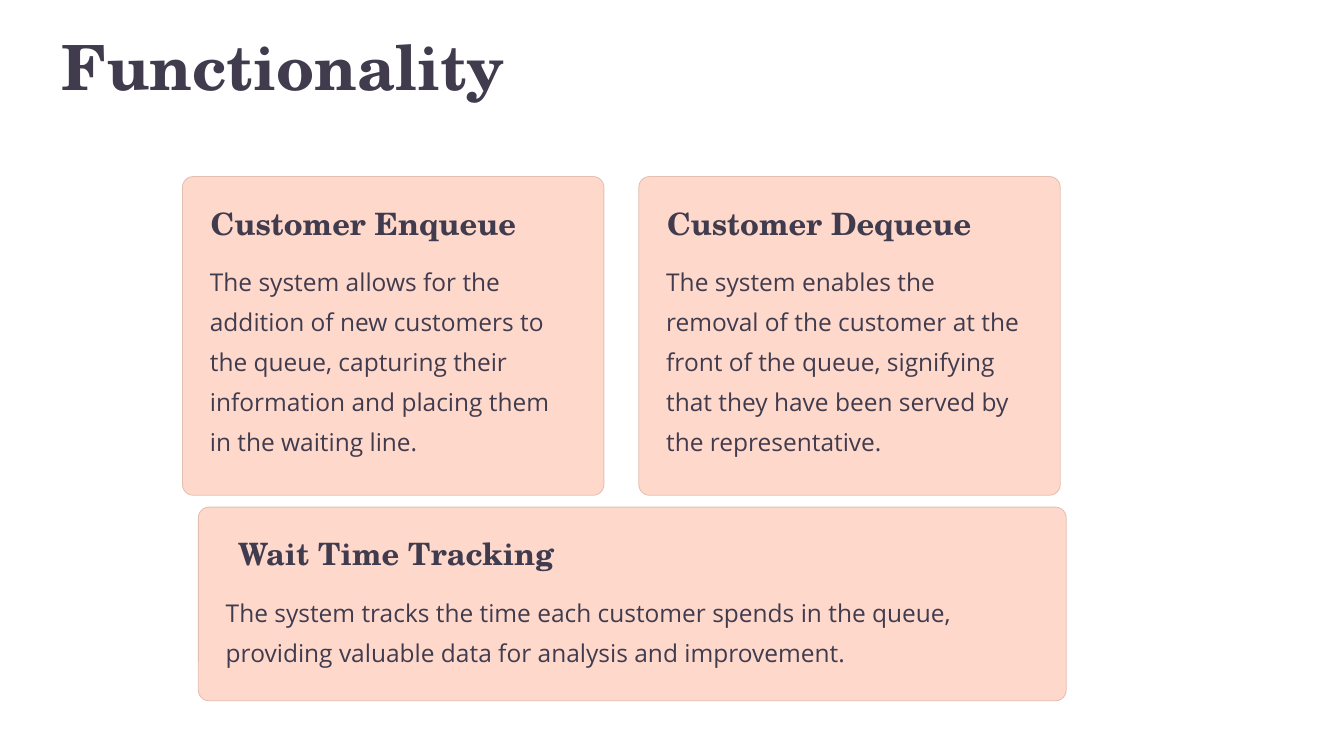
import dataclasses

import pptx
import pptx.dml.color
import pptx.enum.shapes
import pptx.slide
import pptx.util

Cm = pptx.util.Cm
Pt = pptx.util.Pt


@dataclasses.dataclass(frozen=True)
class TextStyle:
    font: str
    size: float
    line_spacing: float
    bold: bool
    wrap: bool


@dataclasses.dataclass(frozen=True)
class Theme:
    ink: str = "403C4E"
    card_fill: str = "FFD8CC"
    card_line: str = "E5BEB2"
    line_width: float = 0.6
    title: TextStyle = TextStyle("TeX Gyre Schola", 44.5, 55.5, True, False)
    heading: TextStyle = TextStyle("TeX Gyre Schola", 22, 27.5, True, False)
    body: TextStyle = TextStyle("Open Sans", 17.5, 28.5, False, True)


@dataclasses.dataclass(frozen=True)
class Box:
    left: float
    top: float
    width: float
    height: float

    def emu(self) -> list[pptx.util.Length]:
        return [Cm(v) for v in dataclasses.astuple(self)]


@dataclasses.dataclass(frozen=True)
class Card:
    box: Box
    heading: str
    body: str
    heading_indent: float = 0.71


THEME = Theme()
CORNER_RADIUS = 0.27
BODY_INDENT = 0.69
HEADING_DROP = 0.66
BODY_DROP = 2.02
BODY_MARGIN = 2.77

CARDS = [
    Card(
        Box(4.6, 4.45, 10.62, 8.03),
        "Customer Enqueue",
        "The system allows for the addition of new customers to the queue, "
        "capturing their information and placing them in the waiting line.",
    ),
    Card(
        Box(16.1, 4.45, 10.62, 8.03),
        "Customer Dequeue",
        "The system enables the removal of the customer at the front of the queue, "
        "signifying that they have been served by the representative.",
    ),
    Card(
        Box(5, 12.78, 21.87, 4.88),
        "Wait Time Tracking",
        "The system tracks the time each customer spends in the queue, "
        "providing valuable data for analysis and improvement.",
        heading_indent=1,
    ),
]


def rgb(value: str) -> pptx.dml.color.RGBColor:
    return pptx.dml.color.RGBColor.from_string(value)


def add_text(s: pptx.slide.Slide, box: Box, text: str, style: TextStyle) -> None:
    tf = s.shapes.add_textbox(*box.emu()).text_frame
    tf.margin_left = tf.margin_top = tf.margin_right = tf.margin_bottom = 0
    tf.word_wrap = style.wrap
    tf.text = text
    p = tf.paragraphs[0]
    p.line_spacing = Pt(style.line_spacing)
    r = p.runs[0]
    r.font.name = style.font
    r.font.size = Pt(style.size)
    r.font.bold = style.bold
    r.font.color.rgb = rgb(THEME.ink)


def add_card(s: pptx.slide.Slide, card: Card) -> None:
    box = card.box
    sp = s.shapes.add_shape(
        pptx.enum.shapes.MSO_SHAPE.ROUNDED_RECTANGLE, *box.emu()
    )
    sp.adjustments[0] = CORNER_RADIUS / min(box.width, box.height)
    sp.shadow.inherit = False
    sp.fill.solid()
    sp.fill.fore_color.rgb = rgb(THEME.card_fill)
    sp.line.color.rgb = rgb(THEME.card_line)
    sp.line.width = Pt(THEME.line_width)

    heading_box = Box(
        box.left + card.heading_indent, box.top + HEADING_DROP, 8.2, 1.02
    )
    add_text(s, heading_box, card.heading, THEME.heading)
    body_box = Box(
        box.left + BODY_INDENT,
        box.top + BODY_DROP,
        box.width - 2 * BODY_INDENT,
        box.height - BODY_MARGIN,
    )
    add_text(s, body_box, card.body, THEME.body)


def main() -> None:
    prs = pptx.Presentation()
    prs.slide_width = Cm(33.87)
    prs.slide_height = Cm(19.05)
    s = prs.slides.add_slide(prs.slide_layouts[6])
    add_text(s, Box(1.55, 0.64, 15.62, 2.06), "Functionality", THEME.title)
    for card in CARDS:
        add_card(s, card)
    prs.save("out.pptx")


if __name__ == "__main__":
    main()
